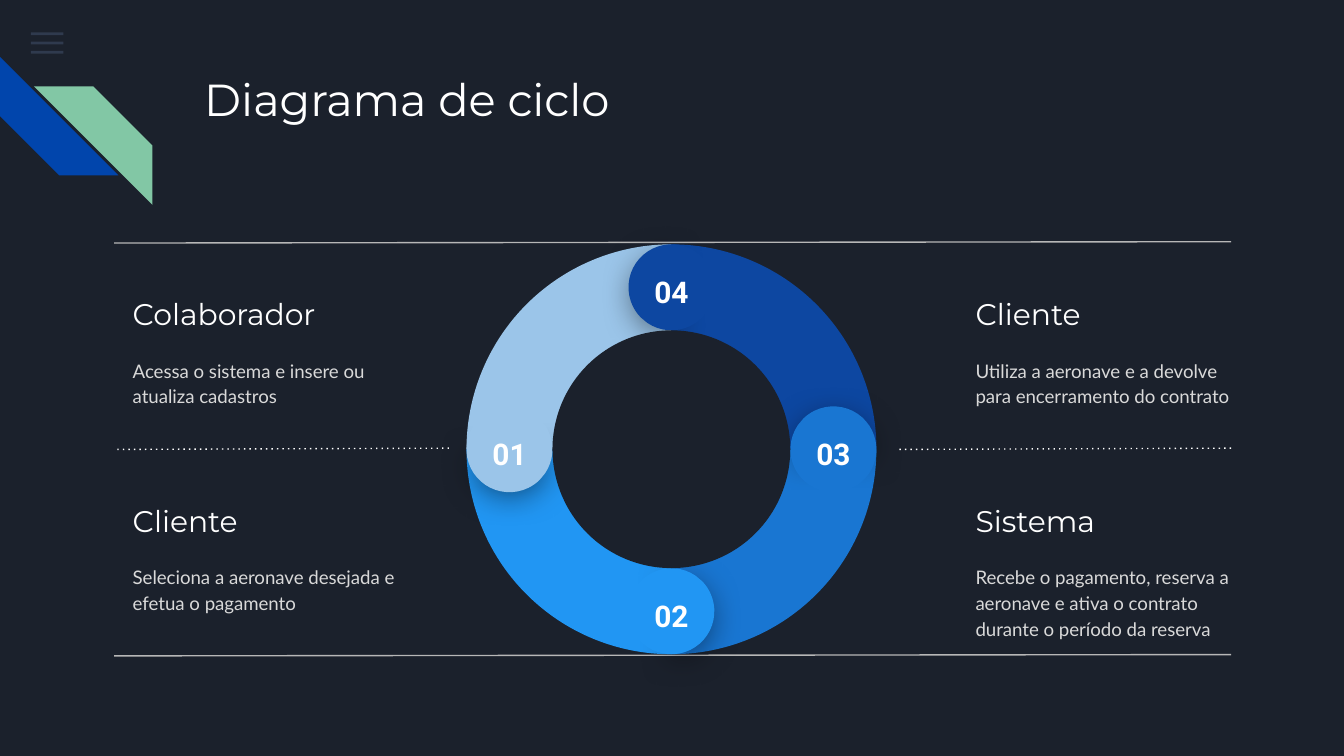
from math import cos, radians, sin

from lxml import etree
from pptx import Presentation
from pptx.dml.color import RGBColor
from pptx.enum.shapes import MSO_CONNECTOR, MSO_SHAPE
from pptx.enum.text import MSO_ANCHOR, PP_ALIGN
from pptx.oxml.ns import qn
from pptx.util import Pt

PIE, CHORD, OVAL = MSO_SHAPE.PIE, MSO_SHAPE.CHORD, MSO_SHAPE.OVAL
BAR, STRIPE = MSO_SHAPE.RECTANGLE, MSO_SHAPE.DIAGONAL_STRIPE
STRAIGHT = MSO_CONNECTOR.STRAIGHT
TOP, MIDDLE = MSO_ANCHOR.TOP, MSO_ANCHOR.MIDDLE
LEFT, CENTER = PP_ALIGN.LEFT, PP_ALIGN.CENTER

NIGHT = RGBColor(0x1B, 0x21, 0x2C)
WHITE = RGBColor(0xFF, 0xFF, 0xFF)
SILVER = RGBColor(0xD9, 0xD9, 0xD9)
GRAY = RGBColor(0xB7, 0xB7, 0xB7)
SLATE = RGBColor(0x55, 0x68, 0x8B)
COBALT = RGBColor(0x01, 0x45, 0xAC)
MINT = RGBColor(0x82, 0xC7, 0xA5)
PALE_BLUE = RGBColor(0x9B, 0xC5, 0xE9)
NAVY = RGBColor(0x0D, 0x47, 0xA1)
BLUE = RGBColor(0x19, 0x76, 0xD2)
SKY = RGBColor(0x21, 0x96, 0xF3)

TITLE = "Diagrama de ciclo"
# Column, row, heading, description
STEPS = [
    (0, 0, "Colaborador", "Acessa o sistema e insere ou atualiza cadastros"),
    (0, 1, "Cliente", "Seleciona a aeronave desejada e efetua o pagamento"),
    (1, 0, "Cliente", "Utiliza a aeronave e a devolve para encerramento do contrato"),
    (1, 1, "Sistema", "Recebe o pagamento, reserva a aeronave e ativa o contrato "
                      "durante o período da reserva"),
]
# Clockwise from the left
SEGMENTS = [("01", PALE_BLUE), ("04", NAVY), ("03", BLUE), ("02", SKY)]

COLUMNS = [64, 515.5]
FIRST_ROW, ROW_STEP = 150.5, 110.8
LINE_LEFT, LINE_RIGHT, LINE_TOP, LINE_STEP = 61.2, 659.5, 130.2, 110.6
DOTTED_WIDTH, LINE_RISE = 179.3, 0.7
CENTER_X, CENTER_Y = 359.7, 240.7
RING, HOLE, SHADE = 219.6, 127.4, 41
CAP = (RING - HOLE) / 2
CAP_ORBIT = (RING + HOLE) / 4


def add_plain(shapes, kind, left, top, width, height, color, rotation=0, adjust=()):
    shape = shapes.add_shape(kind, Pt(left), Pt(top), Pt(width), Pt(height))
    shape.fill.solid()
    shape.fill.fore_color.rgb = color
    shape.line.fill.background()
    shape.shadow.inherit = False
    shape.rotation = rotation
    for index, value in enumerate(adjust):
        shape.adjustments[index] = value
    return shape


def add_round(shapes, kind, x, y, size, color, rotation=0, adjust=()):
    """Add a circular shape centred on x, y."""
    return add_plain(shapes, kind, x - size / 2, y - size / 2, size, size,
                     color, rotation, adjust)


def set_alpha(color_element, percent):
    etree.SubElement(color_element, qn("a:alpha"), val=str(percent * 1000))


def add_soft_shadow(shape):
    effects = shape.element.spPr.find(qn("a:effectLst"))
    shadow = etree.SubElement(effects, qn("a:outerShdw"), blurRad=str(Pt(18)),
                              dist=str(Pt(4)), dir="5400000", rotWithShape="0")
    set_alpha(etree.SubElement(shadow, qn("a:srgbClr"), val="000000"), 55)


def write(box, text, font, size, color, bold=False, align=LEFT, anchor=TOP):
    frame = box.text_frame
    frame.text = text
    frame.word_wrap = True
    frame.vertical_anchor = anchor
    frame.margin_left = frame.margin_right = Pt(7.2)
    frame.margin_top = frame.margin_bottom = Pt(7.2)
    para = frame.paragraphs[0]
    para.alignment = align
    span = para.runs[0].font
    span.name, span.size, span.bold = font, Pt(size), bold
    span.color.rgb = color
    return para


def add_text(left, top, width, height, *style, **options):
    box = page.shapes.add_textbox(Pt(left), Pt(top), Pt(width), Pt(height))
    return write(box, *style, **options)


def add_divider(left, right, y, color, dotted=False):
    line = page.shapes.add_connector(STRAIGHT, Pt(right), Pt(y - LINE_RISE), Pt(left), Pt(y))
    line.line.color.rgb = color
    line.line.width = Pt(0.75)
    properties = line.element.spPr
    if dotted:
        etree.SubElement(properties.find(qn("a:ln")), qn("a:prstDash"), val="dot")
    etree.SubElement(properties, qn("a:effectLst"))


deck = Presentation()
deck.slide_width, deck.slide_height = Pt(720), Pt(405)
page = deck.slides.add_slide(deck.slide_layouts[5])
page.background.fill.solid()
page.background.fill.fore_color.rgb = NIGHT

# Menu icon and corner stripes
for index in range(3):
    bar = add_plain(page.shapes, BAR, 16.6, 17.3 + 5 * index, 17.4, 1.5, SLATE)
    set_alpha(bar.element.spPr.find(".//" + qn("a:srgbClr")), 36)
corner = page.shapes.add_group_shape().shapes
add_plain(corner, STRIPE, 0, 30.4, 63.5, 63.5, COBALT, 270, [0.5])
mint_stripe = add_plain(corner, STRIPE, 18.2, 46.3, 63.5, 63.5, MINT, 0, [0.5])
mint_stripe.element.spPr.find(qn("a:xfrm")).set("flipH", "1")

title = page.shapes.title
title.left, title.top, title.width, title.height = Pt(102.2), Pt(31), Pt(554.4), Pt(72)
write(title, TITLE, "Montserrat", 24, WHITE)

# Dividers
add_divider(LINE_LEFT, LINE_RIGHT, LINE_TOP, GRAY)
middle = LINE_TOP + LINE_STEP
add_divider(LINE_LEFT, LINE_LEFT + DOTTED_WIDTH, middle, WHITE, dotted=True)
add_divider(LINE_RIGHT - DOTTED_WIDTH, LINE_RIGHT, middle, WHITE, dotted=True)
add_divider(LINE_LEFT, LINE_RIGHT, LINE_TOP + 2 * LINE_STEP, GRAY)

# Ring: quarters first, then the rounded ends that overlap them
for index, (number, color) in enumerate(SEGMENTS):
    add_round(page.shapes, PIE, CENTER_X, CENTER_Y, RING, color, 90 * index, [108, 162])
for index, (number, color) in enumerate(SEGMENTS):
    turn = 90 * index
    x = CENTER_X + CAP_ORBIT * cos(radians(180 + turn))
    y = CENTER_Y + CAP_ORBIT * sin(radians(180 + turn))
    end = page.shapes.add_group_shape().shapes
    add_soft_shadow(add_round(end, PIE, x, y, SHADE, color, 39.5 + turn, [189.5, 83.8]))
    add_round(end, CHORD, x, y, CAP, color, 4.1 + turn, [25, 18.12])
    add_text(x - 20, y - 14.6, 40, 21, number, "Roboto", 16, WHITE,
             bold=True, align=CENTER)
add_round(page.shapes, OVAL, CENTER_X, CENTER_Y, HOLE, NIGHT)

for column, row, heading, description in STEPS:
    left, top = COLUMNS[column], FIRST_ROW + row * ROW_STEP
    add_text(left, top, 146, 35, heading, "Montserrat", 16, WHITE, anchor=MIDDLE)
    para = add_text(left, top + 33.1, 157, 54.7, description, "Lato", 10, SILVER)
    para.line_spacing = 1.15
    para.space_after = Pt(16)

deck.save("out.pptx")
